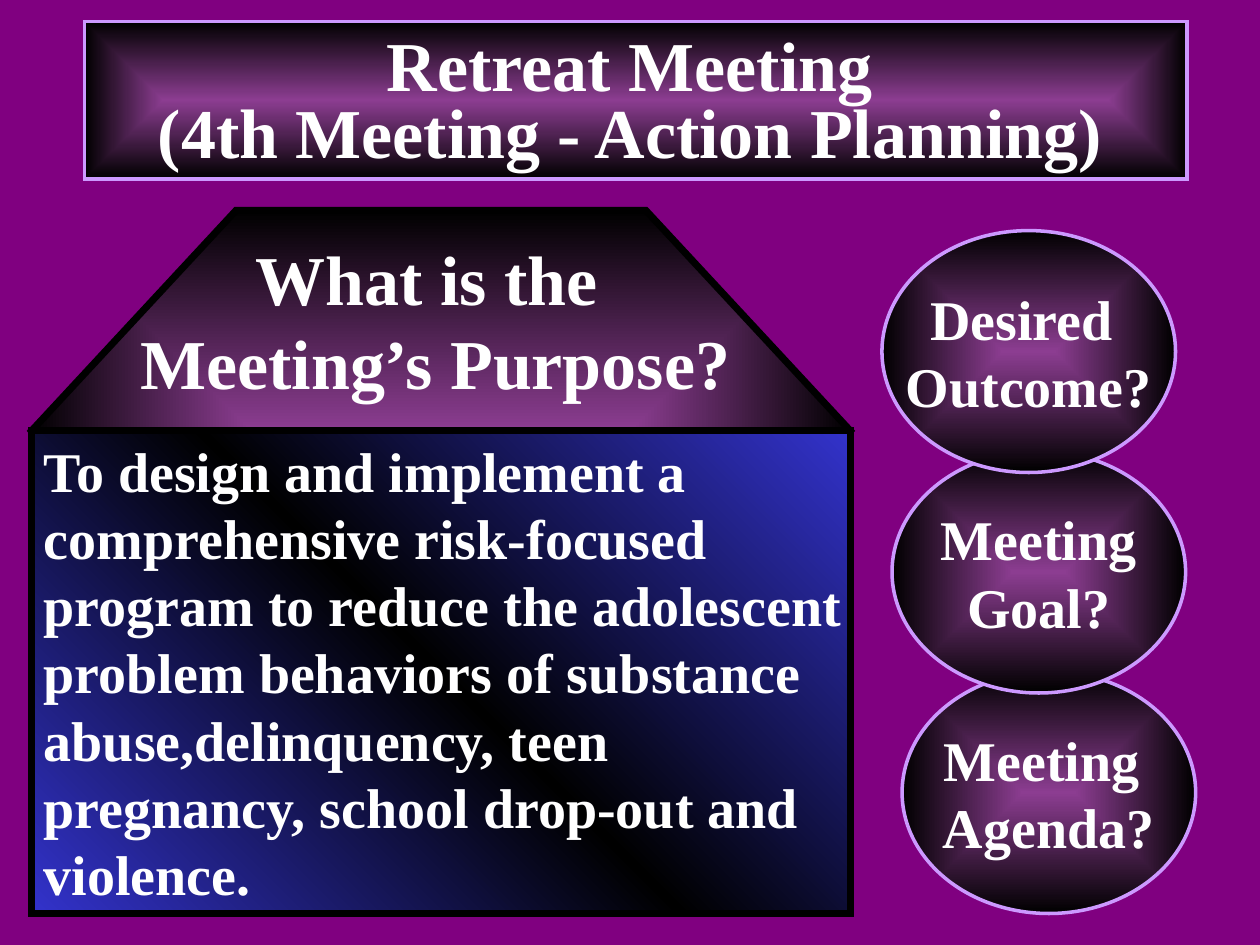
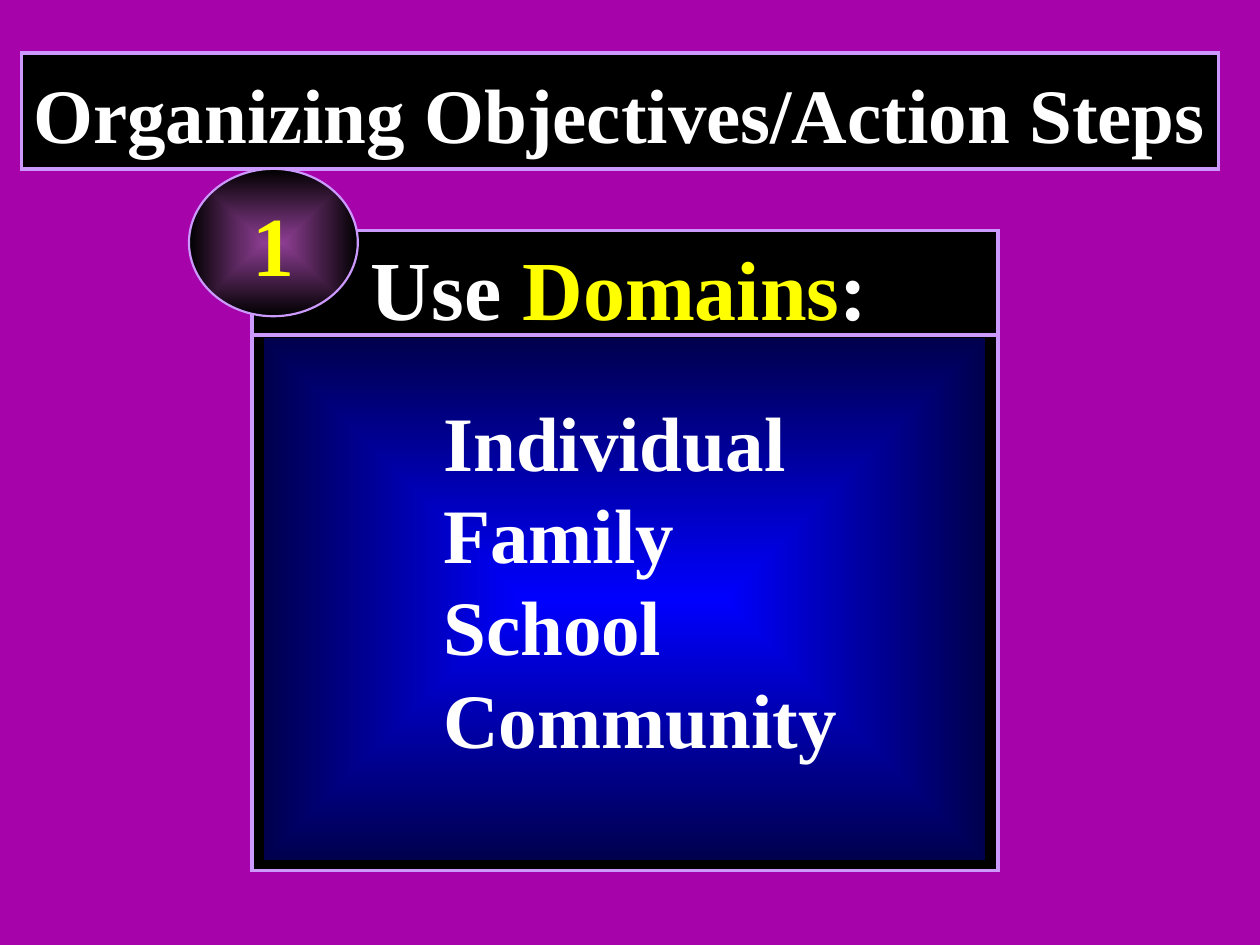
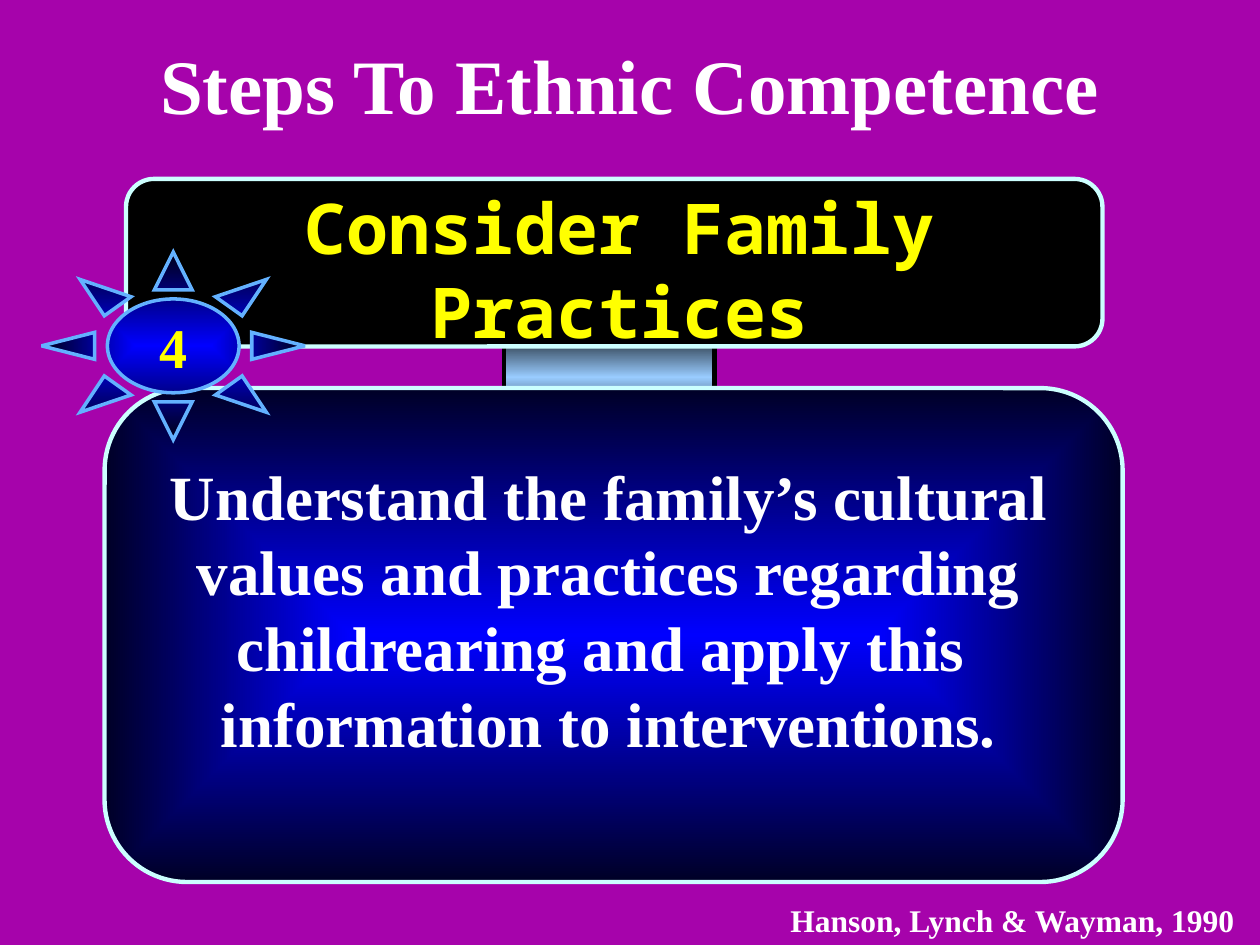
from lxml import etree
from pptx import Presentation
from pptx import util as u
from pptx.dml.color import RGBColor
from pptx.enum import shapes, text
from pptx.oxml import ns

PURPLE = RGBColor(0x80, 0x00, 0x80)
MAGENTA = RGBColor(0xA6, 0x03, 0xAB)
PLUM = RGBColor(0x8C, 0x3D, 0x91)
LILAC = RGBColor(0xCC, 0x99, 0xFF)
BLACK = RGBColor(0x00, 0x00, 0x00)
WHITE = RGBColor(0xFF, 0xFF, 0xFF)
YELLOW = RGBColor(0xFF, 0xFF, 0x00)
BLUE = RGBColor(0x00, 0x00, 0xFF)
INDIGO = RGBColor(0x33, 0x33, 0xCC)
NAVY = RGBColor(0x00, 0x00, 0x4C)
DARK_NAVY = RGBColor(0x00, 0x00, 0x26)
NIGHT = RGBColor(0x00, 0x00, 0x16)
SKY = RGBColor(0x99, 0xCC, 0xFF)
SUN_EDGE = RGBColor(0x63, 0xB1, 0xFF)
ICE = RGBColor(0xCC, 0xFF, 0xFF)

SERIF = "Times New Roman"
MONO = "Noto Sans Mono"
SHAPE = shapes.MSO_SHAPE
ALIGN = text.PP_ALIGN
ANCHOR = text.MSO_ANCHOR


def set_gradient(shape, colors, angle=None):
    """Spread colors evenly: along angle, or from the centre to the edges."""
    grad = etree.Element(ns.qn("a:gradFill"), rotWithShape="1")
    stops = etree.SubElement(grad, ns.qn("a:gsLst"))
    for index, color in enumerate(colors):
        position = 100000 * index // (len(colors) - 1)
        stop = etree.SubElement(stops, ns.qn("a:gs"), pos=str(position))
        etree.SubElement(stop, ns.qn("a:srgbClr"), val=str(color))
    if angle is None:
        shade = etree.SubElement(grad, ns.qn("a:path"), path="rect")
        sides = dict.fromkeys("ltrb", "50000")
        etree.SubElement(shade, ns.qn("a:fillToRect"), sides)
    else:
        etree.SubElement(grad, ns.qn("a:lin"), ang=str(angle * 60000), scaled="0")
    shape.fill.background()
    empty_fill = shape._element.spPr.find(ns.qn("a:noFill"))
    empty_fill.getparent().replace(empty_fill, grad)


def add_figure(page, kind, box, colors, edge, weight=2, angle=None):
    """Add a sharp-cornered preset; one color fills it plainly, several as a gradient."""
    shape = page.shapes.add_shape(kind, *map(u.Inches, box))
    shape.shadow.inherit = False
    if len(colors) == 1:
        shape.fill.solid()
        shape.fill.fore_color.rgb = colors[0]
    else:
        set_gradient(shape, colors, angle)
    shape.line.color.rgb = edge
    shape.line.width = u.Pt(weight)
    outline = shape._element.spPr.find(ns.qn("a:ln"))
    etree.SubElement(outline, ns.qn("a:miter"), lim="800000")
    return shape


def write_text(shape, lines, size=32, color=WHITE, font=SERIF, align=ALIGN.CENTER,
               anchor=ANCHOR.MIDDLE, spacing=None, wrap=True):
    """Fill shape with lines; a line is a string or a list of (string, color)."""
    frame = shape.text_frame
    frame.word_wrap = wrap
    frame.vertical_anchor = anchor
    for index, line in enumerate(lines):
        para = frame.add_paragraph() if index else frame.paragraphs[0]
        para.alignment = align
        if spacing:
            para.line_spacing = spacing
        for words, tint in [(line, color)] if isinstance(line, str) else line:
            span = para.add_run()
            span.text = words
            span.font.name = font
            span.font.size = u.Pt(size)
            span.font.bold = True
            span.font.color.rgb = tint


def add_text(page, box, lines, **style):
    write_text(page.shapes.add_textbox(*map(u.Inches, box)), lines, **style)


def add_page(deck, color):
    page = deck.slides.add_slide(deck.slide_layouts[6])
    page.background.fill.solid()
    page.background.fill.fore_color.rgb = color
    return page


def add_purpose_house(page, left, top):
    roof = add_figure(page, SHAPE.HEXAGON, (left, top, 6.5, 3.5),
                      (PLUM, BLACK), BLACK, 4)
    roof.adjustments[0] = 0.464
    add_figure(page, SHAPE.RECTANGLE, (left, top + 1.75, 6.5, 3.83),
               (INDIGO, BLACK, INDIGO), BLACK, 4, angle=135)
    add_text(page, (left, top + 1.74, 6.66, 3.84), [
        "To design and implement a",
        "comprehensive risk-focused",
        "program to reduce the adolescent",
        "problem behaviors of substance",
        "abuse,delinquency, teen",
        "pregnancy, school drop-out and",
        "violence.",
    ], align=ALIGN.LEFT, wrap=False)
    add_text(page, (left + 0.42, top + 0.15, 5.57, 1.43),
             ["What is the ", "Meeting’s Purpose?"], size=40)


def add_question_ovals(page, left, top):
    questions = [("Desired ", "Outcome?"), ("Meeting", "Goal?"), ("Meeting ", "Agenda?")]
    for index, lines in reversed(list(enumerate(questions))):
        box = (left + 0.08 * index, top + 1.75 * index, 2.33, 1.92)
        oval = add_figure(page, SHAPE.OVAL, box, (PLUM, BLACK), LILAC)
        write_text(oval, lines, wrap=False)


def build_retreat(deck):
    page = add_page(deck, PURPLE)
    add_purpose_house(page, 0.25, 1.67)
    add_question_ovals(page, 7, 1.83)
    add_figure(page, SHAPE.RECTANGLE, (0.67, 0.17, 8.75, 1.25), (PLUM, BLACK), LILAC)
    add_text(page, (0, 0.25, 10, 1.17),
             ["Retreat Meeting", "(4th Meeting - Action Planning)"],
             size=40, anchor=ANCHOR.TOP, spacing=0.8)


def add_domain_panel(page, left, top):
    add_figure(page, SHAPE.RECTANGLE, (left, top, 5.92, 5.08), (BLACK,), LILAC)
    add_figure(page, SHAPE.RECTANGLE, (left + 0.08, top + 0.84, 5.75, 4.17),
               (BLUE, NAVY), BLACK)
    add_figure(page, SHAPE.RECTANGLE, (left, top, 5.92, 0.83), (BLACK,), LILAC)
    add_text(page, (left, top, 5.83, 0.9),
             [[("Use ", WHITE), ("Domains", YELLOW), (":", WHITE)]],
             size=48, anchor=ANCHOR.TOP)
    add_text(page, (left + 1.42, top + 1.25, 4, 3.03),
             ["Individual", "Family", "School", "Community"],
             size=44, align=ALIGN.LEFT)
    badge = add_figure(page, SHAPE.OVAL, (left - 0.5, top - 0.49, 1.34, 1.17),
                       (PLUM, BLACK), LILAC, 1.25)
    write_text(badge, ["1"], size=48, color=YELLOW, wrap=False)


def build_objectives(deck):
    page = add_page(deck, MAGENTA)
    add_figure(page, SHAPE.RECTANGLE, (0.17, 0.42, 9.5, 0.92), (BLACK,), LILAC)
    add_text(page, (-0.08, 0.62, 10, 0.69), ["Organizing Objectives/Action Steps"],
             size=44, anchor=ANCHOR.TOP, spacing=0.8)
    add_domain_panel(page, 2, 1.83)


def add_practice_sign(page, left, top):
    add_figure(page, SHAPE.RECTANGLE, (left + 3, top + 1.16, 1.67, 0.83),
               (BLACK, SKY, BLACK), BLACK, 2.5, angle=90)
    add_figure(page, SHAPE.ROUNDED_RECTANGLE, (left - 0.17, top + 1.66, 8.08, 3.92),
               (BLUE, DARK_NAVY), ICE, 2.5)
    add_figure(page, SHAPE.ROUNDED_RECTANGLE, (left, top, 7.75, 1.33),
               (BLACK,), ICE, 2.5)
    add_text(page, (left - 0.17, top + 2.16, 8, 2.5), [
        "Understand the family’s cultural",
        "values and practices regarding",
        "childrearing and apply this ",
        "information to interventions.",
    ], size=36)
    add_text(page, (left + 0.08, top, 7.67, 1.43), ["Consider Family", "Practices"],
             size=40, color=YELLOW, font=MONO)
    sun = add_figure(page, SHAPE.SUN, (left - 0.67, top + 0.58, 2.09, 1.49),
                     (BLUE, NIGHT), SUN_EDGE)
    write_text(sun, ["4"], color=YELLOW, wrap=False)


def build_competence(deck):
    page = add_page(deck, MAGENTA)
    add_practice_sign(page, 1, 1.42)
    add_text(page, (0, 0.25, 10, 0.83), ["Steps To Ethnic Competence"], size=44)
    add_text(page, (6.16, 7.1, 3.75, 0.4), ["Hanson, Lynch & Wayman, 1990"],
             size=18, wrap=False)


def main():
    deck = Presentation()
    deck.slide_width = u.Inches(10)
    deck.slide_height = u.Inches(7.5)
    build_retreat(deck)
    build_objectives(deck)
    build_competence(deck)
    deck.save("out.pptx")


if __name__ == "__main__":
    main()
